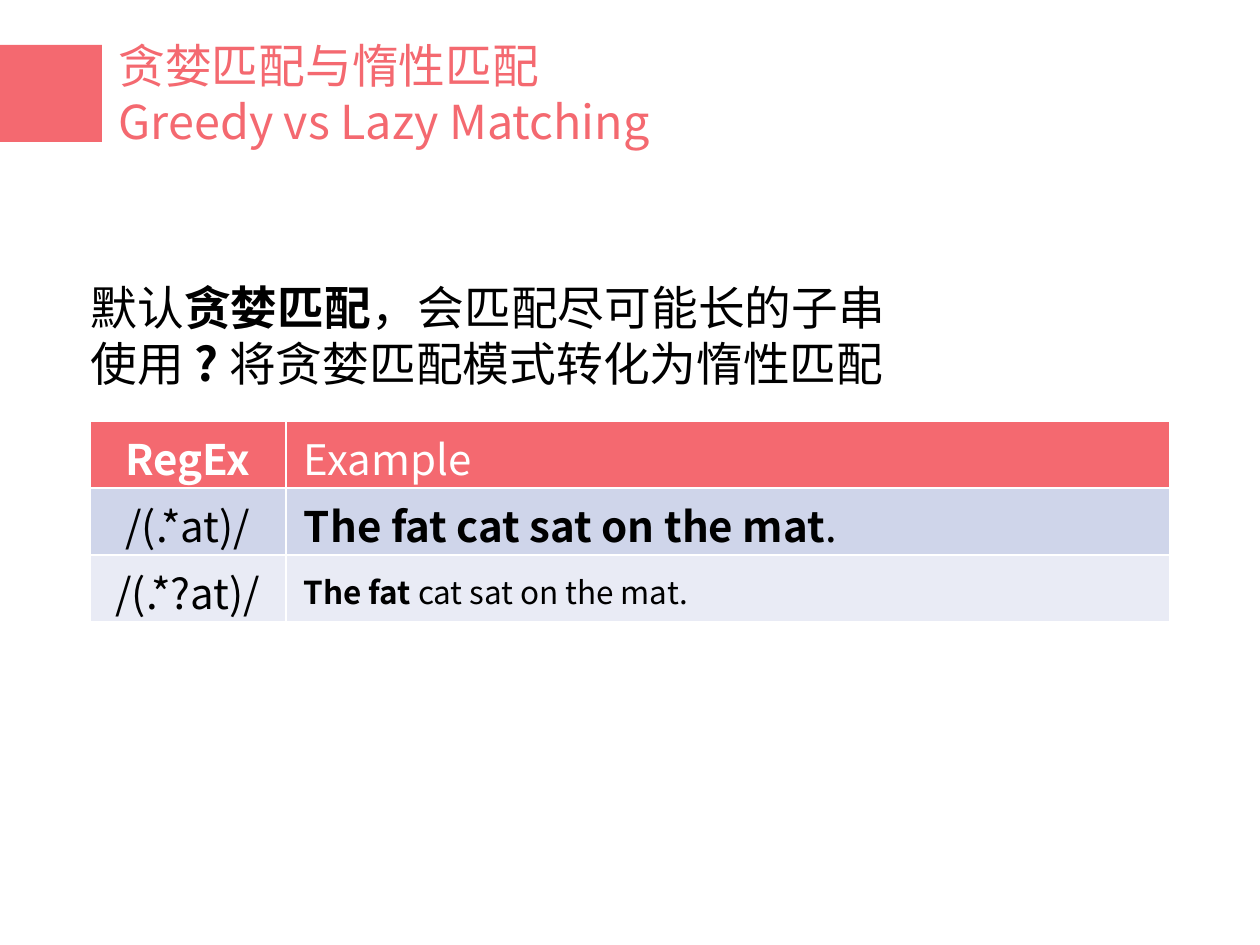
"""Build the slide on greedy and lazy regular expression matching."""
import pptx
import pptx.dml.color
import pptx.enum.shapes
import pptx.enum.text
import pptx.oxml
import pptx.oxml.ns
import pptx.util

TITLE = [
    [("贪婪匹配与惰性匹配", False)],
    [("Greedy vs Lazy Matching", False)],
]
EXPLANATION = [
    [("默认", False), ("贪婪匹配", True), ("，会匹配尽可能长的子串", False)],
    [("使用 ", False), ("? ", True), ("将贪婪匹配模式转化为惰性匹配", False)],
]
EXAMPLES = [
    [[("RegEx", True)], [("Example", False)]],
    [[("/(.*at)/", False)], [("The fat cat sat on the mat", True), (".", False)]],
    [[("/(.*?at)/", False)], [("The fat", True), (" cat sat on the mat.", False)]],
]

THEME = {
    "font": "Noto Sans CJK SC",
    "accent": "F46970",
    "text": "000000",
    "header_text": "FFFFFF",
    "row_fills": ["F46970", "CFD5EA", "E9EBF5"],
    "body_size": 20,
    "line_pitch": 24,
    "table_size": 18,
    "small_size": 13.5,
}

SLIDE_SIZE = (1260, 945)
MARKER_BOX = (0, 45, 102, 97)
TITLE_BOX = (102, 29, 739, 129)
EXPLANATION_BOX = (74, 270, 835, 129)
TABLE_ORIGIN = (90, 421)
COLUMN_WIDTHS = (196, 884)
ROW_HEIGHT = 67
CELL_MARGINS = {"margin_left": 18, "margin_right": 18, "margin_top": 6, "margin_bottom": 0}

ALIGN = pptx.enum.text.PP_ALIGN
ANCHOR = pptx.enum.text.MSO_ANCHOR


def px(length):
    return pptx.util.Emu(round(length * 914400 / 168))


def color(code):
    return pptx.dml.color.RGBColor.from_string(code)


def apply(target, values):
    for name, value in values.items():
        setattr(target, name, value)


def write_runs(paragraph, pieces, size, ink):
    for words, bold in pieces:
        run = paragraph.add_run()
        apply(run, {"text": words})
        apply(run.font, {"name": THEME["font"], "size": pptx.util.Pt(size), "bold": bold})
        run.font.color.rgb = color(ink)
        east_asian = pptx.oxml.parse_xml(
            f'<a:ea {pptx.oxml.ns.nsdecls("a")} typeface="{THEME["font"]}"/>'
        )
        run.font._element.find(pptx.oxml.ns.qn("a:latin")).addnext(east_asian)


def add_text(shapes, box, lines, ink, anchor):
    frame = shapes.add_textbox(*map(px, box)).text_frame
    apply(frame, {
        "word_wrap": True,
        "auto_size": pptx.enum.text.MSO_AUTO_SIZE.SHAPE_TO_FIT_TEXT,
        "vertical_anchor": anchor,
    })
    for index, pieces in enumerate(lines):
        paragraph = frame.add_paragraph() if index else frame.paragraphs[0]
        paragraph.line_spacing = pptx.util.Pt(THEME["line_pitch"])
        write_runs(paragraph, pieces, THEME["body_size"], ink)


def add_heading(slide):
    heading = slide.shapes.add_group_shape()
    marker = heading.shapes.add_shape(
        pptx.enum.shapes.MSO_SHAPE.RECTANGLE, *map(px, MARKER_BOX)
    )
    marker.shadow.inherit = False
    marker.fill.solid()
    marker.fill.fore_color.rgb = color(THEME["accent"])
    marker.line.fill.background()
    add_text(heading.shapes, TITLE_BOX, TITLE, THEME["accent"], ANCHOR.TOP)


def add_examples(slide):
    size = (sum(COLUMN_WIDTHS), ROW_HEIGHT * len(EXAMPLES))
    table = slide.shapes.add_table(
        len(EXAMPLES), len(COLUMN_WIDTHS), *map(px, TABLE_ORIGIN + size)
    ).table
    apply(table, {"first_row": False, "horz_banding": False})
    for column, width in zip(table.columns, COLUMN_WIDTHS):
        column.width = px(width)
    for row_index, (entries, fill) in enumerate(zip(EXAMPLES, THEME["row_fills"])):
        table.rows[row_index].height = px(ROW_HEIGHT)
        ink = THEME["text"] if row_index else THEME["header_text"]
        for column_index, pieces in enumerate(entries):
            cell = table.cell(row_index, column_index)
            apply(cell, {name: px(margin) for name, margin in CELL_MARGINS.items()})
            cell.vertical_anchor = ANCHOR.MIDDLE
            cell.fill.solid()
            cell.fill.fore_color.rgb = color(fill)
            paragraph = cell.text_frame.paragraphs[0]
            paragraph.alignment = ALIGN.LEFT if column_index else ALIGN.CENTER
            lazy_example = (row_index, column_index) == (2, 1)
            text_size = THEME["small_size" if lazy_example else "table_size"]
            write_runs(paragraph, pieces, text_size, ink)


def main():
    presentation = pptx.Presentation()
    width, height = map(px, SLIDE_SIZE)
    apply(presentation, {"slide_width": width, "slide_height": height})
    slide = presentation.slides.add_slide(presentation.slide_layouts[6])
    add_heading(slide)
    add_text(slide.shapes, EXPLANATION_BOX, EXPLANATION, THEME["text"], ANCHOR.MIDDLE)
    add_examples(slide)
    presentation.save("out.pptx")


if __name__ == "__main__":
    main()
